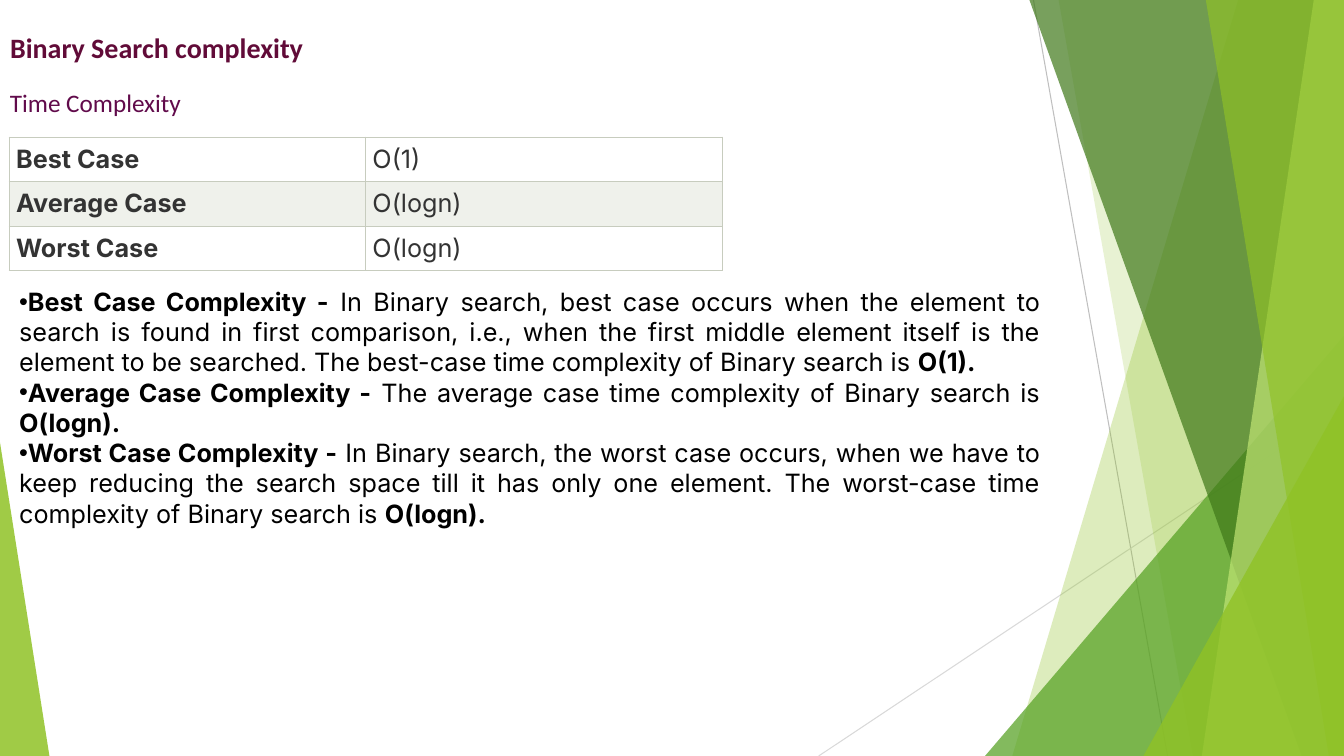
from lxml import etree
from pptx import Presentation
from pptx.dml.color import RGBColor
from pptx.enum import shapes, text
from pptx.oxml import ns
from pptx.util import Inches, Pt

WHITE = RGBColor(0xFF, 0xFF, 0xFF)
BLACK = RGBColor(0, 0, 0)
INK = RGBColor(0x33, 0x33, 0x33)
WINE = RGBColor(0x61, 0x0B, 0x38)
PLUM = RGBColor(0x61, 0x0B, 0x4B)
BAND = RGBColor(0xEF, 0xF1, 0xEB)
RULE = RGBColor(0xC7, 0xCC, 0xBE)
GRAY = RGBColor(0xBF, 0xBF, 0xBF)
PALE = RGBColor(0xD9, 0xD9, 0xD9)
LIME = RGBColor(0x90, 0xC2, 0x26)
GREEN = RGBColor(0x54, 0xA0, 0x21)
DARK = RGBColor(0x3F, 0x78, 0x19)
LIGHT = RGBColor(0xC0, 0xE4, 0x74)
WIDE, HIGH = 13.33, 7.5


def node(parent, tag, **attrs):
    return etree.SubElement(parent, ns.qn(tag), attrs)


def write(par, *parts, font="Inter", size=18, color=BLACK, bold=False, bullet=None):
    """Fill a justified paragraph; each part is a string or (string, bold)."""
    par.alignment = text.PP_ALIGN.JUSTIFY
    par.space_before = Pt(0)
    for part in parts:
        words, heavy = (part, bold) if isinstance(part, str) else part
        run = par.add_run()
        run.text = words
        run.font.name, run.font.size = font, Pt(size)
        run.font.bold, run.font.color.rgb = heavy, color
    if bullet:
        props = par._p.get_or_add_pPr()
        props.set("marL", "0")
        props.set("indent", "0")
        node(props, "a:buFont", typeface="Arial")
        node(props, "a:buChar", char=bullet)


class Page:
    def __init__(self, deck):
        self.slide = deck.slides.add_slide(deck.slide_layouts[1])
        self.items = self.slide.shapes

    def line(self, x1, y1, x2, y2, color):
        rule = self.items.add_connector(
            shapes.MSO_CONNECTOR.STRAIGHT, *map(Inches, (x1, y1, x2, y2)))
        rule.line.color.rgb, rule.line.width = color, Pt(0.75)
        node(rule._element.spPr, "a:effectLst")

    def paint(self, shape, color, alpha):
        shape.shadow.inherit = False
        shape.line.fill.background()
        shape.fill.solid()
        shape.fill.fore_color.rgb = color
        tint = shape._element.spPr.find(ns.qn("a:solidFill"))[0]
        node(tint, "a:alpha", val=str(alpha * 1000))

    def facet(self, top, foot, color, alpha):
        """Fill from a slanted left edge to the right side of the slide."""
        edge = [(WIDE, 0), (WIDE, HIGH), (foot, HIGH)]
        form = self.items.build_freeform(Inches(top), 0)
        form.add_line_segments([(Inches(x), Inches(y)) for x, y in edge])
        self.paint(form.convert_to_shape(), color, alpha)

    def wedge(self, x, y, width, apex, color, alpha):
        """Draw a triangle that stands on the bottom edge."""
        shape = self.items.add_shape(
            shapes.MSO_SHAPE.ISOSCELES_TRIANGLE,
            *map(Inches, (x, y, width, HIGH - y)))
        shape.adjustments[0] = apex
        self.paint(shape, color, alpha)

    def frame(self, shape, x, y, width, height):
        shape.left, shape.top, shape.width, shape.height = map(
            Inches, (x, y, width, height))
        body = shape.text_frame
        body.word_wrap = True
        body.auto_size = text.MSO_AUTO_SIZE.NONE
        body.vertical_anchor = text.MSO_ANCHOR.TOP
        return body

    def title(self, words, *box, **style):
        write(self.frame(self.items.title, *box).paragraphs[0], words, **style)

    def label(self, words, *box, **style):
        shape = self.items.add_textbox(0, 0, 0, 0)
        write(self.frame(shape, *box).paragraphs[0], words, **style)

    def bullets(self, rows, *box):
        body = self.frame(self.slide.placeholders[1], *box)
        for i, (head, words, cost) in enumerate(rows):
            par = body.add_paragraph() if i else body.paragraphs[0]
            write(par, (head, True), words, (cost, True), bullet="•")

    def border(self, cell):
        props = cell._tc.get_or_add_tcPr()
        for side in "LRTB":
            edge = node(props, f"a:ln{side}", w=str(Pt(0.6)))
            node(node(edge, "a:solidFill"), "a:srgbClr", val=str(RULE))

    def table(self, rows, *box):
        grid = self.items.add_table(
            len(rows), len(rows[0]), *map(Inches, box)).table
        for r, row in enumerate(rows):
            for c, words in enumerate(row):
                cell = grid.cell(r, c)
                cell.margin_left = cell.margin_right = Inches(0.07)
                cell.margin_top = cell.margin_bottom = Inches(0.07)
                self.border(cell)
                cell.fill.solid()
                cell.fill.fore_color.rgb = BAND if r % 2 else WHITE
                write(cell.text_frame.paragraphs[0], words,
                      color=INK, bold=c == 0)


def main():
    deck = Presentation()
    deck.slide_width, deck.slide_height = Inches(WIDE), Inches(HIGH)
    page = Page(deck)

    page.line(10.25, 0, 11.58, HIGH, GRAY)
    page.line(WIDE, 4.03, 8.12, HIGH, PALE)
    page.facet(12.28, 10.04, LIME, 30)
    page.facet(10.5, 11.83, LIME, 20)
    page.wedge(9.77, 3.33, 3.56, 1, GREEN, 72)
    page.facet(10.21, 12.91, DARK, 70)
    page.facet(13.03, 11.92, LIGHT, 70)
    page.facet(11.96, 13.18, LIME, 65)
    page.wedge(11.34, 3.93, 1.99, 1, LIME, 80)
    page.wedge(0, 4.39, 0.49, 0, LIME, 85)

    page.title("Binary Search complexity", 0, 0.25, 3.63, 0.44,
               font="Calibri", size=20, color=WINE, bold=True)
    page.table([("Best Case", "O(1)"),
                ("Average Case", "O(logn)"),
                ("Worst Case", "O(logn)")], 0.09, 1.36, 7.07, 1.3)
    page.label("Time Complexity", 0, 0.82, 2.07, 0.4,
               font="Calibri", color=PLUM)
    page.bullets([
        ("Best Case Complexity -",
         " In Binary search, best case occurs when the element to search is "
         "found in first comparison, i.e., when the first middle element "
         "itself is the element to be searched. The best-case time "
         "complexity of Binary search is ", "O(1)."),
        ("Average Case Complexity -",
         " The average case time complexity of Binary search is ",
         "O(logn)."),
        ("Worst Case Complexity -",
         " In Binary search, the worst case occurs, when we have to keep "
         "reducing the search space till it has only one element. The "
         "worst-case time complexity of Binary search is ", "O(logn)."),
    ], 0.09, 2.79, 10.33, 2.52)
    deck.save("out.pptx")


if __name__ == "__main__":
    main()
